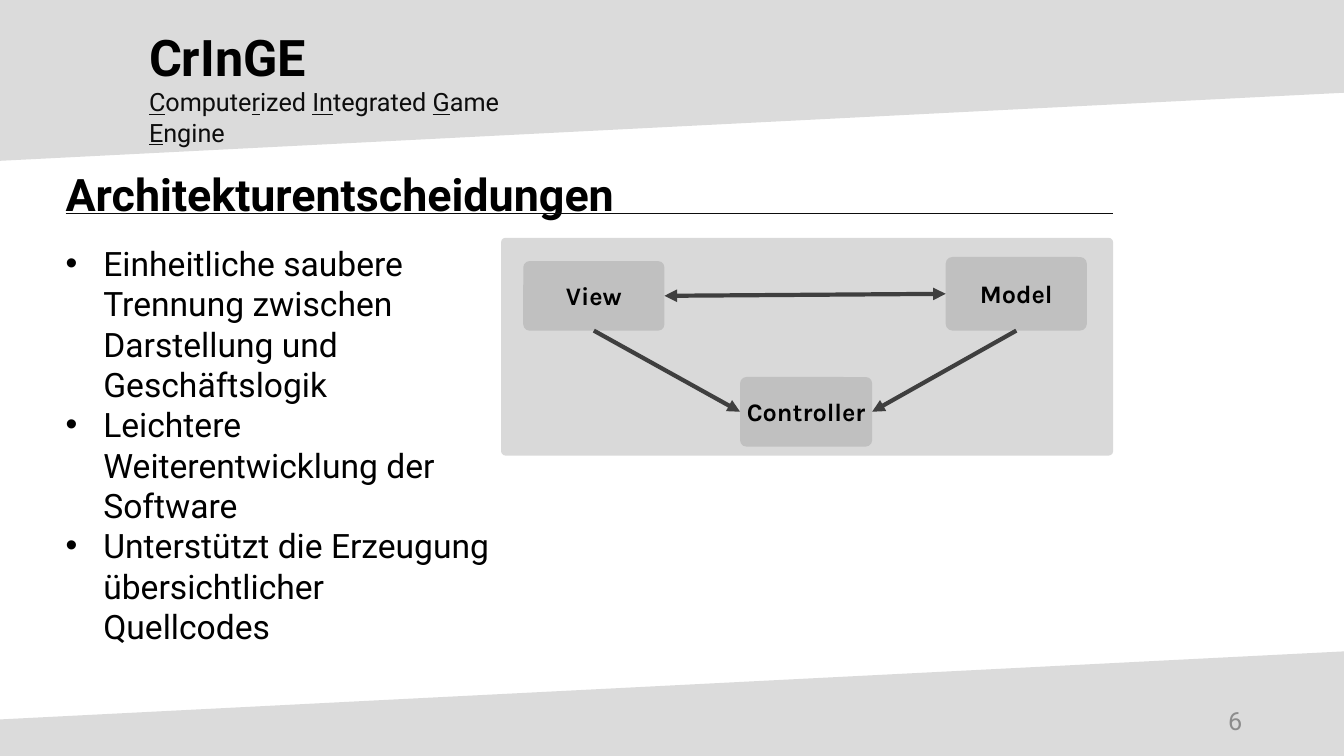
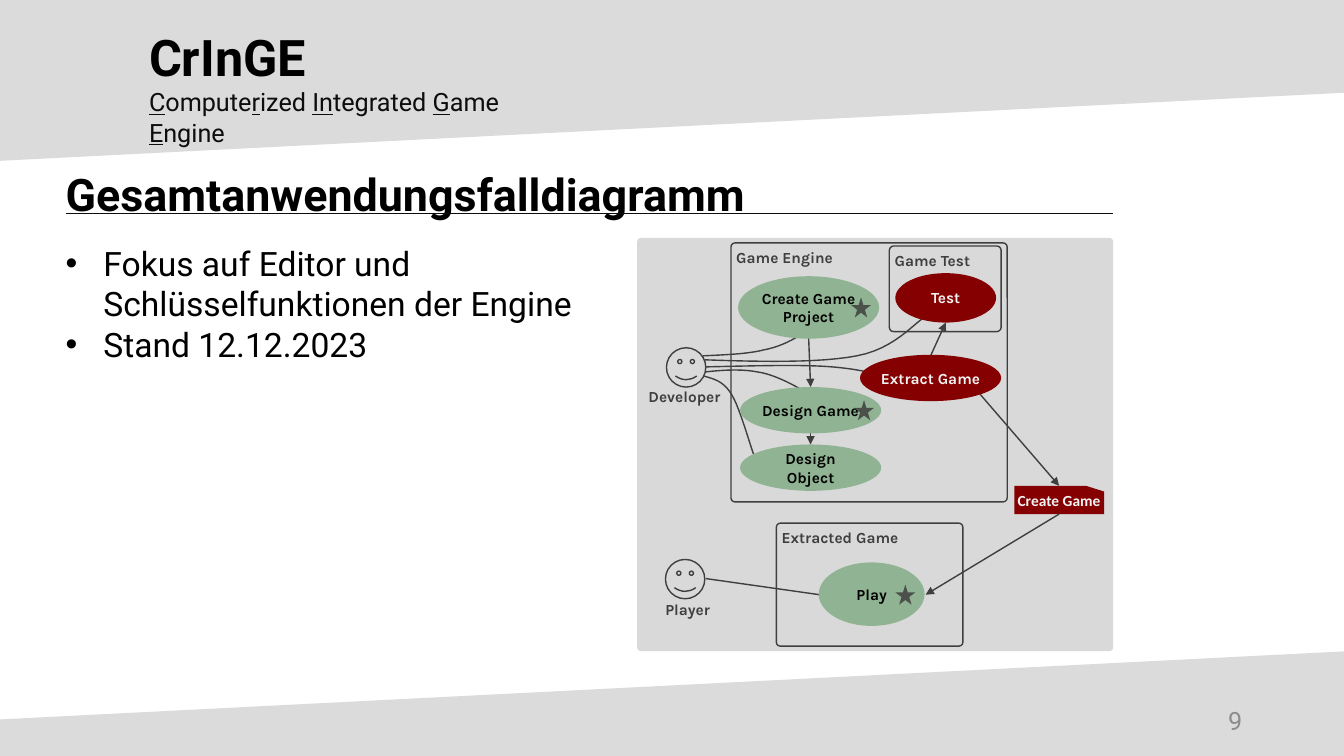
from lxml import etree
from pptx import Presentation, util as u
from pptx.dml.color import RGBColor
from pptx.enum import shapes, text
from pptx.oxml.ns import qn

COLOURS = {
    "band": "DBDBDB", "panel": "D9D9D9", "box": "C0C0C0", "ink": "000000",
    "soft ink": "0D0D0D", "page": "8C8C8C", "stroke": "3F3F3F",
    "green": "90B493", "red": "850101", "pale": "F3F3F3", "star": "4B514A",
}
PRESET = shapes.MSO_SHAPE
ALIGN = text.PP_ALIGN
ANCHOR = text.MSO_ANCHOR
WIDTH, HEIGHT = 13.33, 7.5
LEFT, RIGHT, BODY_TOP = 0.55, 11.04, 2.36
INSET = 0.04

PROJECT = "CrInGE"
# Every second part, beginning with the first, is underlined.
SUBTITLE = ["C", "ompute", "r", "ized ", "In", "tegrated ", "G", "ame ", "E", "ngine"]
BANDS = [(-0.14, -0.62, 13.5, 1.88), (-0.11, 6.8, 13.56, 1.08)]

ARCHITECTURE = {
    "title": "Architekturentscheidungen",
    "points": [
        "Einheitliche saubere Trennung zwischen Darstellung und Geschäftslogik",
        "Leichtere Weiterentwicklung der Software",
        "Unterstützt die Erzeugung übersichtlicher Quellcodes",
    ],
    "body size": (4.42, 3.74),
    "page": 6,
    "panel": (4.97, 2.16, 0.02),
}
COMPONENTS = {
    "View": (5.19, 2.59, 1.4, 0.69),
    "Model": (9.38, 2.55, 1.4, 0.73),
    "Controller": (7.34, 3.74, 1.31, 0.69),
}
TOP, LEFT_SIDE, BOTTOM, RIGHT_SIDE = range(4)
RELATIONS = [  # from, side, to, side, arrowheads
    ("View", RIGHT_SIDE, "Model", LEFT_SIDE, ("head", "tail")),
    ("View", BOTTOM, "Controller", LEFT_SIDE, ("tail",)),
    ("Model", BOTTOM, "Controller", RIGHT_SIDE, ("tail",)),
]

USE_CASES = {
    "title": "Gesamtanwendungsfalldiagramm",
    "points": ["Fokus auf Editor und Schlüsselfunktionen der Engine", "Stand 12.12.2023"],
    "body size": (5.77, 1.31),
    "page": 9,
    "panel": (6.32, 4.1, 0.009),
}
SYSTEMS = [
    ("Extracted Game", (7.7, 5.19, 1.85, 1.22), 0.032),
    ("Game Engine", (7.25, 2.41, 2.74, 2.57), 0.016),
    ("Game Test", (8.82, 2.44, 1.11, 0.85), 0.052),
]
ACTORS = [  # name, face corner, label box
    ("Player", (6.6, 5.55), (6.48, 5.91, 0.68, 0.35), INSET),
    ("Developer", (6.61, 3.45), (6.41, 3.84, 0.76, 0.35), 0),
]
CASES = [
    ("Play", (8.12, 5.58, 1.05, 0.63), "green"),
    ("Test", (8.88, 2.71, 1, 0.49), "red"),
    ("Extract Game", (8.53, 3.52, 1.4, 0.46), "red"),
    ("Create Game\nProject", (7.32, 2.74, 1.4, 0.62), "green"),
    ("Design Game", (7.34, 3.84, 1.4, 0.46), "green"),
    ("Design Object", (7.34, 4.41, 1.4, 0.46), "green"),
]
STARS = [(8.88, 5.8), (8.47, 3.97), (8.44, 2.95)]
CARD = ("Create Game", (10.06, 4.82, 0.89, 0.28))
FLOWS = [  # from, to, arrowheads
    ((7, 5.74), (8.13, 5.9), ()),
    ((9.23, 3.53), (9.38, 3.2), ("tail",)),
    ((8.02, 3.34), (8.04, 3.84), ("tail",)),
    ((8.04, 3.91), (8.04, 4.41), ("tail",)),
]
EXTRACT_EXIT, PLAY_ENTRY = (9.72, 3.91), (9.18, 5.9)
DEVELOPER_CURVES = [  # a start, then three Bézier points per segment
    [(7, 3.64), (7.41, 3.63), (7.81, 3.62), (8.08, 3.63),
     (8.35, 3.64), (8.51, 3.67), (8.6, 3.69)],
    [(6.99, 3.57), (7.56, 3.59), (8.14, 3.6), (8.5, 3.53),
     (8.87, 3.46), (9.06, 3.21), (9.18, 3.14)],
    [(6.97, 3.53), (7.2, 3.52), (7.43, 3.51), (7.58, 3.47),
     (7.74, 3.44), (7.86, 3.37), (7.91, 3.34)],
    [(7, 3.69), (7.18, 3.67), (7.35, 3.66), (7.51, 3.69),
     (7.67, 3.71), (7.87, 3.82), (7.94, 3.86)],
    [(6.98, 3.73), (7.08, 3.76), (7.18, 3.78), (7.26, 3.92),
     (7.34, 4.05), (7.44, 4.42), (7.48, 4.52)],
]


def rgb(name):
    return RGBColor.from_string(COLOURS[name])


def inches(lengths):
    return [u.Inches(length) for length in lengths]


def style(font, size, colour="ink", face="Roboto", bold=False):
    font.size, font.name, font.bold = u.Pt(size), face, bold
    font.color.rgb = rgb(colour)


def set_frame(frame, anchor=ANCHOR.TOP, inset=None):
    frame.word_wrap = True
    frame.auto_size = text.MSO_AUTO_SIZE.NONE
    frame.vertical_anchor = anchor
    if inset is not None:
        frame.margin_left = frame.margin_right = u.Inches(inset)
        frame.margin_top = frame.margin_bottom = u.Inches(inset)


def write(holder, words, size, align=ALIGN.LEFT, anchor=ANCHOR.TOP, inset=None, **font):
    frame = holder.text_frame
    frame.text = words
    set_frame(frame, anchor, inset)
    for paragraph in frame.paragraphs:
        paragraph.alignment = align
        paragraph.space_before = u.Pt(0)
        for run in paragraph.runs:
            style(run.font, size, **font)


def place(holder, box):
    holder.left, holder.top, holder.width, holder.height = inches(box)


def add_preset(slide, preset, box, fill=None, stroke=None, rounding=None):
    shape = slide.shapes.add_shape(preset, *inches(box))
    shape.shadow.inherit = False
    if rounding is not None:
        shape.adjustments[0] = rounding
    if fill:
        shape.fill.solid()
        shape.fill.fore_color.rgb = rgb(fill)
    else:
        shape.fill.background()
    if stroke:
        shape.line.color.rgb, shape.line.width = rgb(stroke), u.Pt(1)
    else:
        shape.line.fill.background()
    return shape


def add_line(slide, start, end, width=1, colour="stroke", arrows=()):
    """Each end is an (x, y) point or a (shape, side) pair to join."""
    points = [(0, 0) if hasattr(spot[0], "shape_id") else spot for spot in (start, end)]
    line = slide.shapes.add_connector(shapes.MSO_CONNECTOR.STRAIGHT,
                                      *inches(points[0] + points[1]))
    for spot, join in ((start, line.begin_connect), (end, line.end_connect)):
        if hasattr(spot[0], "shape_id"):
            join(*spot)
    line.line.color.rgb, line.line.width = rgb(colour), u.Pt(width)
    properties = line._element.spPr
    for arrow in arrows:
        etree.SubElement(properties.find(qn("a:ln")), qn(f"a:{arrow}End"), type="triangle")
    etree.SubElement(properties, qn("a:effectLst"))


def bezier_points(points, steps=12):
    for first in range(0, len(points) - 1, 3):
        a, b, c, d = points[first:first + 4]
        for step in range(1, steps + 1):
            t = step / steps
            s = 1 - t
            yield tuple(u.Inches(s**3 * p + 3 * s * s * t * q + 3 * s * t * t * r + t**3 * e)
                        for p, q, r, e in zip(a, b, c, d))


def add_curve(slide, points):
    outline = slide.shapes.build_freeform(*inches(points[0]))
    outline.add_line_segments(bezier_points(points), close=False)
    curve = outline.convert_to_shape()
    curve.shadow.inherit = False
    curve.fill.background()
    curve.line.color.rgb, curve.line.width = rgb("stroke"), u.Pt(1)


def add_header(slide):
    header = slide.shapes.add_textbox(*inches((1.38, 0.21, 4.26, 1.01)))
    write(header, PROJECT, 36, bold=True)
    subtitle = header.text_frame.add_paragraph()
    for index, part in enumerate(SUBTITLE):
        run = subtitle.add_run()
        run.text = part
        style(run.font, 18, "soft ink")
        run.font.underline = index % 2 == 0


def add_base_slide(deck, content):
    """Adds bands, header, title, list, page number and diagram panel."""
    slide = deck.slides.add_slide(deck.slide_layouts[1])
    for box in BANDS:
        add_preset(slide, PRESET.RECTANGLE, box, "band").rotation = 357.1
    add_header(slide)

    title, body = slide.placeholders
    place(title, (LEFT, 1.6, 10.59, 0.64))
    write(title, content["title"], 32, anchor=ANCHOR.BOTTOM, bold=True)
    add_line(slide, (LEFT + 0.1, 2.12), (RIGHT, 2.12), colour="soft ink")
    place(body, (LEFT, BODY_TOP, *content["body size"]))
    write(body, "\n".join(content["points"]), 24)

    page = slide.shapes.add_textbox(*inches((9.42, 6.95, 3, 0.4)))
    write(page, str(content["page"]), 18, ALIGN.RIGHT, ANCHOR.MIDDLE, colour="page")

    left, height, rounding = content["panel"]
    add_preset(slide, PRESET.ROUNDED_RECTANGLE, (left, BODY_TOP, RIGHT - left, height),
               "panel", rounding=rounding)
    return slide


def add_architecture(deck):
    slide = add_base_slide(deck, ARCHITECTURE)
    components = {}
    for name, box in COMPONENTS.items():
        component = add_preset(slide, PRESET.ROUNDED_RECTANGLE, box, "box", rounding=0.091)
        write(component, name, 18, ALIGN.CENTER, ANCHOR.MIDDLE, INSET, face="Karla", bold=True)
        components[name] = component
    for source, exit_side, target, entry_side, arrows in RELATIONS:
        add_line(slide, (components[source], exit_side), (components[target], entry_side),
                 width=3, arrows=arrows)


def add_use_cases(deck):
    slide = add_base_slide(deck, USE_CASES)
    label = {"face": "Karla", "bold": True}
    for name, box, rounding in SYSTEMS:
        system = add_preset(slide, PRESET.ROUNDED_RECTANGLE, box, stroke="stroke",
                            rounding=rounding)
        write(system, name, 11, inset=INSET, colour="stroke", **label)
    for name, corner, label_box, inset in ACTORS:
        add_preset(slide, PRESET.SMILEY_FACE, (*corner, 0.39, 0.39), stroke="stroke")
        caption = slide.shapes.add_textbox(*inches(label_box))
        write(caption, name, 11, ALIGN.CENTER, inset=inset, colour="stroke", **label)

    name, box = CARD
    card = add_preset(slide, PRESET.FLOWCHART_CARD, box, "red")
    card._element.spPr.find(qn("a:xfrm")).set("flipH", "1")
    write(card, name, 11, ALIGN.CENTER, inset=0, colour="pale", face="Calibri", bold=True)
    add_line(slide, EXTRACT_EXIT, (card, TOP), arrows=("tail",))
    add_line(slide, (card, BOTTOM), PLAY_ENTRY, arrows=("tail",))
    for start, end, arrows in FLOWS:
        add_line(slide, start, end, arrows=arrows)
    for points in DEVELOPER_CURVES:
        add_curve(slide, points)

    for name, box, fill in CASES:
        case = add_preset(slide, PRESET.OVAL, box, fill)
        write(case, name, 11, ALIGN.CENTER, ANCHOR.MIDDLE, 0,
              colour="pale" if fill == "red" else "ink", **label)
    for corner in STARS:
        add_preset(slide, PRESET.STAR_5_POINT, (*corner, 0.2, 0.2), "star")


def main():
    deck = Presentation()
    deck.slide_width, deck.slide_height = inches((WIDTH, HEIGHT))
    add_architecture(deck)
    add_use_cases(deck)
    deck.save("out.pptx")


if __name__ == "__main__":
    main()
